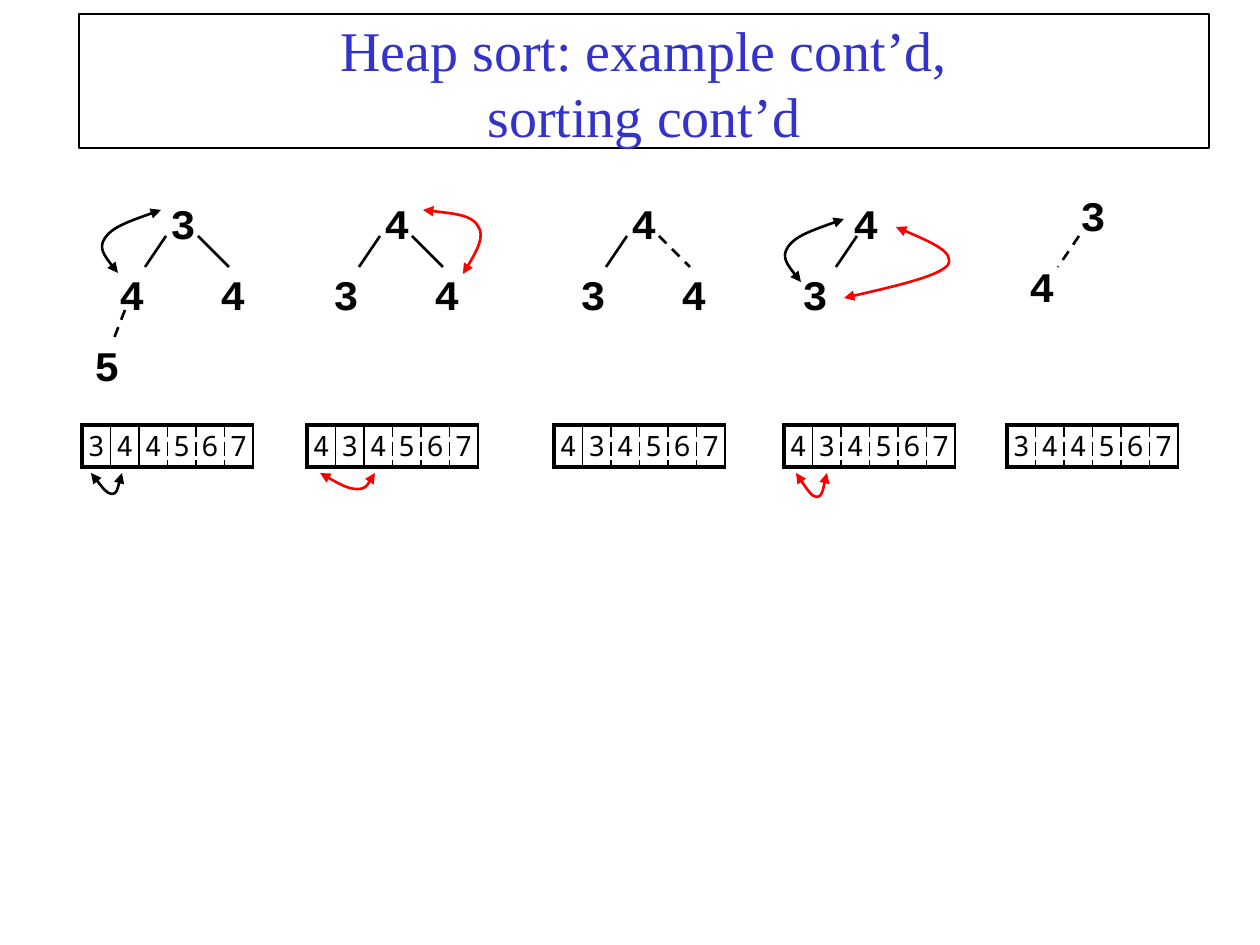
"""Build the heap sort slide: five heap states above their arrays."""
from dataclasses import dataclass

from lxml.etree import SubElement
from pptx import Presentation
from pptx.dml.color import RGBColor
from pptx.enum.dml import MSO_LINE_DASH_STYLE as Dash
from pptx.enum.shapes import MSO_CONNECTOR as Connector
from pptx.enum.text import MSO_ANCHOR as Anchor, PP_ALIGN as Align
from pptx.oxml.ns import qn
from pptx.util import Pt

SCALE = 914400 / 126


@dataclass(frozen=True)
class Theme:
    ink: str = "000000"
    swap: str = "FF0000"
    title: str = "3333CC"
    title_font: str = "Times New Roman"
    tree_font: str = "Courier New"
    array_font: str = "Noto Sans Mono"
    title_size: int = 32
    tree_size: int = 24
    array_size: int = 16
    thin: float = 1
    medium: float = 1.5
    thick: float = 2.25


THEME = Theme()
TITLE = ["Heap sort: example cont’d,", "sorting cont’d"]

LEFT, RIGHT, LEAF = (84, 236, 63, 267), (116, 236, 147, 267), (43, 310, 31, 341)
STATES = [
    {"x": 82, "y": 187, "levels": [["3"], ["4", "4"], ["5"]], "shift": 0,
     "solid": [LEFT, RIGHT], "dashed": [LEAF],
     "array_x": 82, "array": "344567", "in_heap": 2},
    {"x": 296, "y": 187, "levels": [["4"], ["3", "4"]], "shift": 0,
     "solid": [LEFT, RIGHT], "dashed": [],
     "array_x": 307, "array": "434567", "in_heap": 2},
    {"x": 543, "y": 187, "levels": [["4"], ["3", "4"]], "shift": 0,
     "solid": [LEFT], "dashed": [RIGHT],
     "array_x": 554, "array": "434567", "in_heap": 1},
    {"x": 765, "y": 187, "levels": [["4"], ["3"]], "shift": 8,
     "solid": [LEFT], "dashed": [],
     "array_x": 784, "array": "434567", "in_heap": 1},
    {"x": 992, "y": 179, "levels": [["3"], ["4"]], "shift": 3,
     "solid": [], "dashed": [LEFT],
     "array_x": 1007, "array": "344567", "in_heap": 0},
]
LEVEL_TABS = [(76,), (25, 126), ()]

SIFT = [(-25, 9), (-49, 17), (-56, 28), (-63, 38), (-53, 51), (-43, 63)]
LAST_SWAP = [(25, 3), (49, 5), (55, 16), (62, 26), (52, 45), (40, 64)]
ROOT_SWAP = [(30, 13), (59, 25), (52, 38), (43, 49), (-4, 60), (-52, 71)]
TREE_CURVES = [
    ((161, 210), SIFT, THEME.ink),
    ((423, 210), LAST_SWAP, THEME.swap),
    ((896, 227), ROOT_SWAP, THEME.swap),
    ((844, 219), SIFT, THEME.ink),
]
ARRAY_CURVES = [
    ((91, 473), 31, 21, THEME.ink),
    ((320, 473), 55, 16, THEME.swap),
    ((796, 473), 31, 24, THEME.swap),
]
DIP = [(0.25, 0.5), (0.5, 1), (0.67, 1), (0.83, 1), (0.91, 0.5), (1, 0)]


def px(*lengths):
    return [round(length * SCALE) for length in lengths]


def style_line(line, width, color=THEME.ink, dash=None):
    line.color.rgb = RGBColor.from_string(color)
    line.width = Pt(width)
    if dash:
        line.dash_style = dash


def add_run(paragraph, words, font, size, color=THEME.ink, bold=False):
    run = paragraph.add_run()
    run.text = words
    run.font.name, run.font.size, run.font.bold = font, Pt(size), bold
    run.font.color.rgb = RGBColor.from_string(color)


def add_frame(slide, place, top_inset):
    box = slide.shapes.add_textbox(*px(*place))
    frame = box.text_frame
    frame.word_wrap = True
    frame.vertical_anchor = Anchor.TOP
    frame.margin_top, = px(top_inset)
    return box, frame


def add_title(slide):
    box, frame = add_frame(slide, (79, 14, 1130, 134), 2)
    style_line(box.line, THEME.thin)
    heading = frame.paragraphs[0]
    heading.alignment = Align.CENTER
    heading.line_spacing = Pt(38)
    for index, words in enumerate(TITLE):
        if index:
            heading.add_line_break()
        add_run(heading, words, THEME.title_font, THEME.title_size, THEME.title)


def add_edge(slide, state, edge, dash=None):
    offset = state["x"] + state["shift"]
    x1, y1, x2, y2 = edge
    link = slide.shapes.add_connector(
        Connector.STRAIGHT, *px(x1 + offset, y1, x2 + offset, y2))
    style_line(link.line, THEME.medium, dash=dash)
    SubElement(link._element.spPr, qn("a:effectLst"))


def add_tree(slide, state):
    _, frame = add_frame(slide, (state["x"], state["y"], 179, 214), 12)
    for index, (nodes, stops) in enumerate(zip(state["levels"], LEVEL_TABS)):
        level = frame.add_paragraph() if index else frame.paragraphs[0]
        if stops:
            tabs = SubElement(level._p.get_or_add_pPr(), qn("a:tabLst"))
            for stop in px(*stops):
                SubElement(tabs, qn("a:tab"), pos=str(stop), algn="l")
        level.line_spacing = Pt(28)
        if index:
            level.space_before = Pt(12.5)
        lead = "\t" if stops else ""
        for node in nodes:
            add_run(level, lead + node, THEME.tree_font, THEME.tree_size, bold=True)
    for edge in state["solid"]:
        add_edge(slide, state, edge)
    for edge in state["dashed"]:
        add_edge(slide, state, edge, Dash.DASH)


def add_border(cell, side, width, dash="solid"):
    border = SubElement(cell._tc.get_or_add_tcPr(), qn(f"a:{side}"), w=str(Pt(width)))
    fill = SubElement(border, qn("a:solidFill"))
    SubElement(fill, qn("a:srgbClr"), val=THEME.ink)
    SubElement(border, qn("a:prstDash"), val=dash)


def add_array(slide, state):
    values = state["array"]
    last = len(values) - 1
    place = px(state["array_x"], 425, 171, 42)
    table = slide.shapes.add_table(1, len(values), *place).table
    table.first_row = table.horz_banding = False
    separators = [(THEME.thin, "solid" if i < state["in_heap"] else "sysDash")
                  for i in range(last)]
    sides = [(THEME.thick, "solid"), *separators, (THEME.medium, "solid")]
    for index, value in enumerate(values):
        table.columns[index].width = place[2] // len(values)
        cell = table.cell(0, index)
        cell.margin_left = cell.margin_right = cell.margin_top = cell.margin_bottom = px(1)[0]
        cell.vertical_anchor = Anchor.MIDDLE
        entry = cell.text_frame.paragraphs[0]
        entry.alignment = Align.CENTER
        add_run(entry, value, THEME.array_font, THEME.array_size)
        add_border(cell, "lnL", *sides[index])
        add_border(cell, "lnR", *sides[index + 1])
        add_border(cell, "lnT", THEME.thick)
        add_border(cell, "lnB", THEME.thick)
        cell.fill.background()


def add_curve(slide, start, offsets, color):
    x, y = start
    builder = slide.shapes.build_freeform(x, y, scale=SCALE)
    builder.add_line_segments([(x + dx, y + dy) for dx, dy in offsets], close=False)
    curve = builder.convert_to_shape()
    path = next(curve._element.iter(qn("a:path")))
    controls = path.findall(qn("a:lnTo"))
    for first in range(0, len(controls), 3):
        bezier = SubElement(path, qn("a:cubicBezTo"))
        for control in controls[first:first + 3]:
            bezier.append(control[0])
            path.remove(control)
    curve.shadow.inherit = False
    curve.fill.background()
    style_line(curve.line, THEME.medium, color)
    outline = curve.line._get_or_add_ln()
    for end in ("a:headEnd", "a:tailEnd"):
        SubElement(outline, qn(end), type="triangle")


def main():
    deck = Presentation()
    deck.slide_width, deck.slide_height = px(1260, 945)
    slide = deck.slides.add_slide(deck.slide_layouts[6])
    add_title(slide)
    for state in STATES:
        add_tree(slide, state)
        add_array(slide, state)
    for curve in TREE_CURVES:
        add_curve(slide, *curve)
    for start, width, depth, color in ARRAY_CURVES:
        dip = [(round(u * width), round(v * depth)) for u, v in DIP]
        add_curve(slide, start, dip, color)
    deck.save("out.pptx")


if __name__ == "__main__":
    main()
